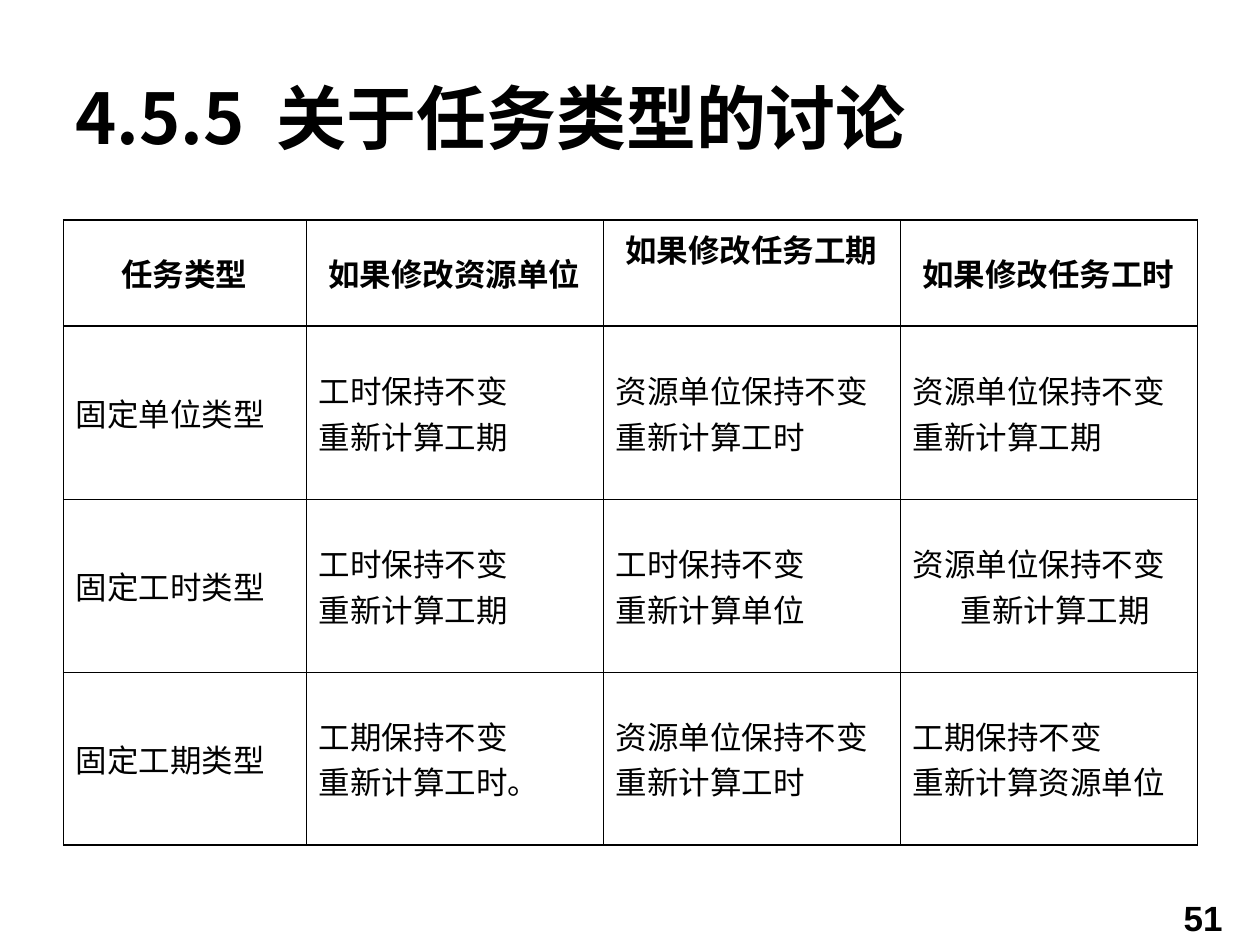
from lxml import etree
from pptx import Presentation, util as u
from pptx.dml.color import RGBColor
from pptx.enum import text
from pptx.oxml.ns import qn

PX = 914400 / 126
CJK = "Noto Sans CJK SC"
BLACK = "000000"
HEAD = ["任务类型", "如果修改资源单位", "如果修改任务工期", "如果修改任务工时"]
BODY = [
    ["固定单位类型", "工时保持不变\n重新计算工期", "资源单位保持不变\n重新计算工时",
     "资源单位保持不变\n重新计算工期"],
    ["固定工时类型", "工时保持不变\n重新计算工期", "工时保持不变\n重新计算单位",
     "资源单位保持不变重新计算工期"],
    ["固定工期类型", "工期保持不变\n重新计算工时。", "资源单位保持不变\n重新计算工时",
     "工期保持不变\n重新计算资源单位"],
]


def px(num):
    return u.Emu(round(num * PX))


def color(code):
    return RGBColor.from_string(code)


def add_run(para, words, size, face, bold):
    run = para.add_run()
    run.text = words
    font = run.font
    font.size, font.name, font.bold = u.Pt(size), face, bold
    font.color.rgb = color(BLACK)
    props = run._r.get_or_add_rPr()
    etree.SubElement(props, qn("a:ea")).set("typeface", CJK)
    return props


def add_edge(cell, side, width):
    line = etree.SubElement(cell._tc.get_or_add_tcPr(), qn(f"a:ln{side}"))
    line.set("w", str(u.Pt(width)))
    fill = etree.SubElement(line, qn("a:solidFill"))
    etree.SubElement(fill, qn("a:srgbClr")).set("val", BLACK)


def add_title(slide, x, y, w, h):
    title = slide.shapes.title
    title.left, title.top, title.width, title.height = map(px, (x, y, w, h))
    frame = title.text_frame
    frame.vertical_anchor = text.MSO_ANCHOR.MIDDLE
    para = frame.paragraphs[0]
    para.alignment = text.PP_ALIGN.LEFT
    add_run(para, "4.5.5", 40, CJK, True)
    add_run(para, " ", 40, CJK, True).set("spc", "900")
    add_run(para, "关于任务类型的讨论", 40, CJK, True)


def fill_cell(cell, words, head):
    """Write one paragraph per line with a hanging indent."""
    for n, line in enumerate(words.split("\n")):
        frame = cell.text_frame
        para = frame.add_paragraph() if n else frame.paragraphs[0]
        para.alignment = text.PP_ALIGN.CENTER if head else text.PP_ALIGN.LEFT
        props = para._p.get_or_add_pPr()
        props.set("marL", str(px(48)))
        props.set("indent", str(px(-48)))
        add_run(para, line, 18, "Times New Roman", head)


def add_grid(slide, x, y, w, h):
    first, top = 243, 106
    rows = [HEAD] + BODY
    grid = slide.shapes.add_table(len(rows), len(HEAD), px(x), px(y), px(w), px(h)).table
    grid.first_row = grid.horz_banding = False
    for c, col in enumerate(grid.columns):
        col.width = px((w - first) / (len(HEAD) - 1) if c else first)
    for r, row in enumerate(grid.rows):
        row.height = px((h - top) / len(BODY) if r else top)
        for c, words in enumerate(rows[r]):
            cell = grid.cell(r, c)
            fill_cell(cell, words, r == 0)
            high = (r, c) == (0, 2)
            cell.vertical_anchor = text.MSO_ANCHOR.TOP if high else text.MSO_ANCHOR.MIDDLE
            add_edge(cell, "L", 0.45 if c else 0.34)
            add_edge(cell, "R", 0.45 if c < len(HEAD) - 1 else 0.34)
            add_edge(cell, "T", 0.96 if r < 2 else 0.45)
            add_edge(cell, "B", 0.96 if r in (0, len(BODY)) else 0.45)
            cell.fill.background()


def add_number(slide, x, y, w, h):
    frame = slide.shapes.add_textbox(px(x), px(y), px(w), px(h)).text_frame
    frame.word_wrap = True
    para = frame.paragraphs[0]
    para.alignment = text.PP_ALIGN.RIGHT
    add_run(para, "51", 20, "Arial", True)


def main():
    deck = Presentation()
    deck.slide_width, deck.slide_height = px(1260), px(945)
    slide = deck.slides.add_slide(deck.slide_layouts[5])
    add_title(slide, 63, 38, 1134, 157)
    add_grid(slide, 63, 220, 1134, 625)
    add_number(slide, 941, 890, 294, 66)
    deck.save("out.pptx")


if __name__ == "__main__":
    main()
